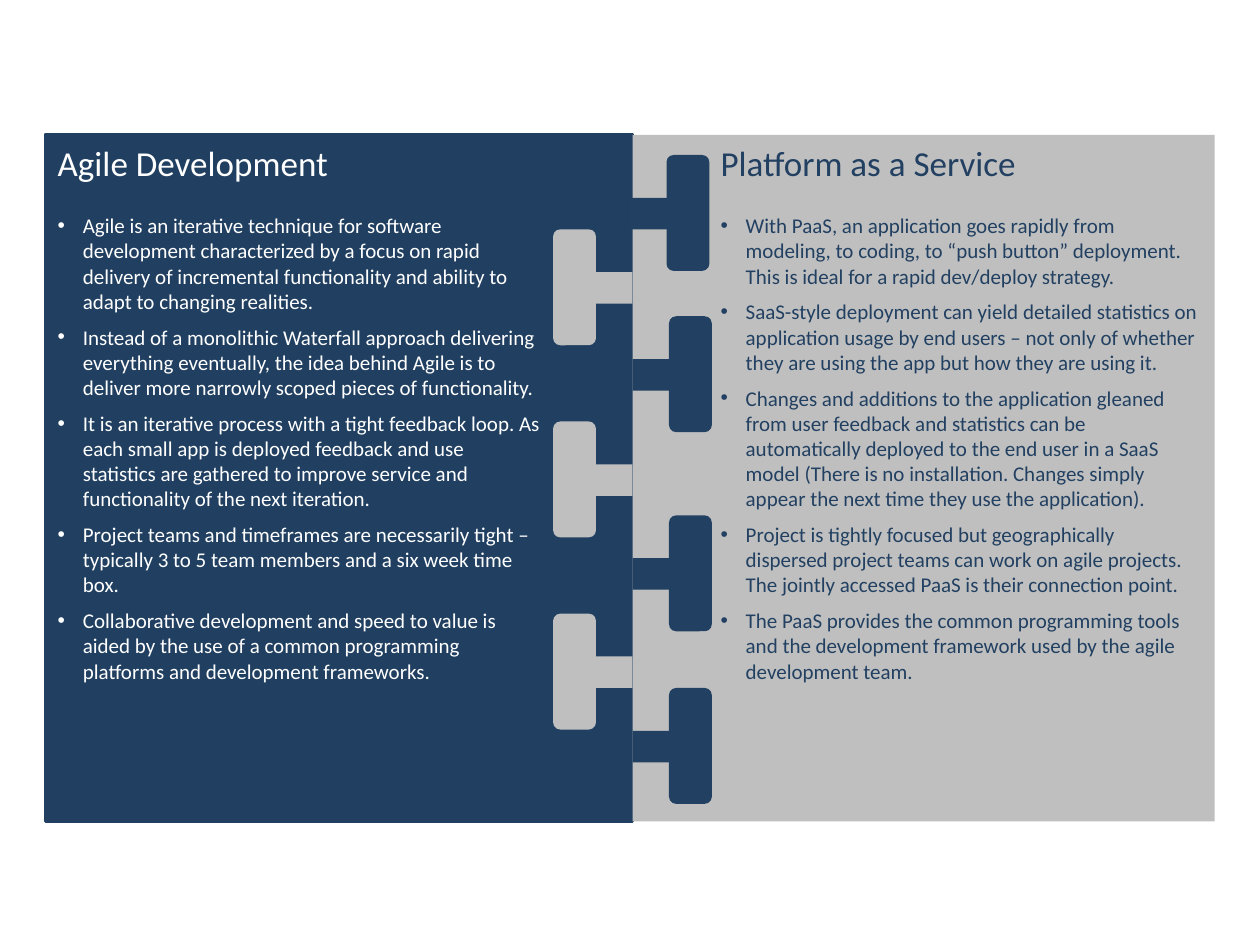
from dataclasses import dataclass

from lxml.etree import SubElement
from pptx import Presentation
from pptx.dml.color import RGBColor
from pptx.enum.shapes import MSO_SHAPE
from pptx.oxml.ns import qn
from pptx.slide import Slide
from pptx.util import Inches, Pt

COLORS = {"navy": "214061", "ink": "224061", "gray": "BFBFBF", "white": "FFFFFF"}

AGILE_POINTS = [
    "Agile is an iterative technique for software development characterized by a focus on rapid "
    "delivery of incremental functionality and ability to adapt to changing realities.",
    "Instead of a monolithic Waterfall approach delivering everything eventually, the idea behind "
    "Agile is to deliver more narrowly scoped pieces of functionality.",
    "It is an iterative process with a tight feedback loop. As each small app is deployed feedback "
    "and use statistics are gathered to improve service and functionality of the next iteration.",
    "Project teams and timeframes are necessarily tight – typically 3 to 5 team members and a six "
    "week time box.",
    "Collaborative development and speed to value is aided by the use of a common programming "
    "platforms and development frameworks.",
]
PLATFORM_POINTS = [
    "With PaaS, an application goes rapidly from modeling, to coding, to “push button” deployment. "
    "This is ideal for a rapid dev/deploy strategy.",
    "SaaS-style deployment can yield detailed statistics on application usage by end users – not "
    "only of whether they are using the app but how they are using it.",
    "Changes and additions to the application gleaned from user feedback and statistics can be "
    "automatically deployed to the end user in a SaaS model (There is no installation. Changes "
    "simply appear the next time they use the application).",
    "Project is tightly focused but geographically dispersed project teams can work on agile "
    "projects. The jointly accessed PaaS is their connection point.",
    "The PaaS provides the common programming tools and the development framework used by the "
    "agile development team.",
]


def write(para, text, *, size, color, font, after=0, bullet=False):
    para.space_after = Pt(after)
    span = para.add_run()
    span.text = text
    span.font.name = font
    span.font.size = Pt(size)
    span.font.color.rgb = RGBColor.from_string(COLORS[color])
    if bullet:
        properties = para._p.get_or_add_pPr()
        properties.set("marL", str(Inches(0.2)))
        properties.set("indent", str(Inches(-0.2)))
        SubElement(properties, qn("a:buFont")).set("typeface", "Arial")
        SubElement(properties, qn("a:buChar")).set("char", "•")


@dataclass
class Page:
    """Draws the interlocking panels and their text on one slide."""

    slide: Slide
    font: str = "Calibri"

    def block(self, left, top, width, height, color, kind=MSO_SHAPE.RECTANGLE, line=None):
        box = self.slide.shapes.add_shape(
            kind, Inches(left), Inches(top), Inches(width), Inches(height))
        box.shadow.inherit = False
        box.fill.solid()
        box.fill.fore_color.rgb = RGBColor.from_string(COLORS[color])
        if line:
            box.line.color.rgb = RGBColor.from_string(COLORS[color])
            box.line.width = Pt(line)
        else:
            box.line.fill.background()

    def tab(self, cap_left, stem_left, top, color):
        self.block(cap_left, top, 0.34, 0.92, color, MSO_SHAPE.ROUNDED_RECTANGLE)
        self.block(stem_left, top + 0.34, 0.38, 0.25, color)

    def column(self, left, width, height, heading, points, color):
        box = self.slide.shapes.add_textbox(
            Inches(left), Inches(1.07), Inches(width), Inches(height))
        frame = box.text_frame
        frame.word_wrap = True
        write(frame.paragraphs[0], heading, size=20, color=color, font=self.font, after=17)
        for point in points:
            write(frame.add_paragraph(), point, size=12, color=color, font=self.font,
                  after=6, bullet=True)


def main():
    deck = Presentation()
    deck.slide_width, deck.slide_height = Inches(10), Inches(7.5)
    page = Page(deck.slides.add_slide(deck.slide_layouts[6]))

    page.block(0.36, 1.07, 4.66, 5.45, "navy", line=2)
    for row in range(3):
        page.tab(4.39, 4.64, 1.82 + 1.525 * row, "gray")

    page.block(5.02, 1.07, 4.62, 5.45, "gray")
    page.tab(5.29, 5, 1.23, "ink")
    for top in (2.51, 4.09, 5.46):
        page.tab(5.31, 5.02, top, "ink")

    page.column(0.36, 4.03, 4.64, "Agile Development", AGILE_POINTS, "white")
    page.column(5.62, 4.01, 5.25, "Platform as a Service", PLATFORM_POINTS, "ink")
    deck.save("out.pptx")


if __name__ == "__main__":
    main()
